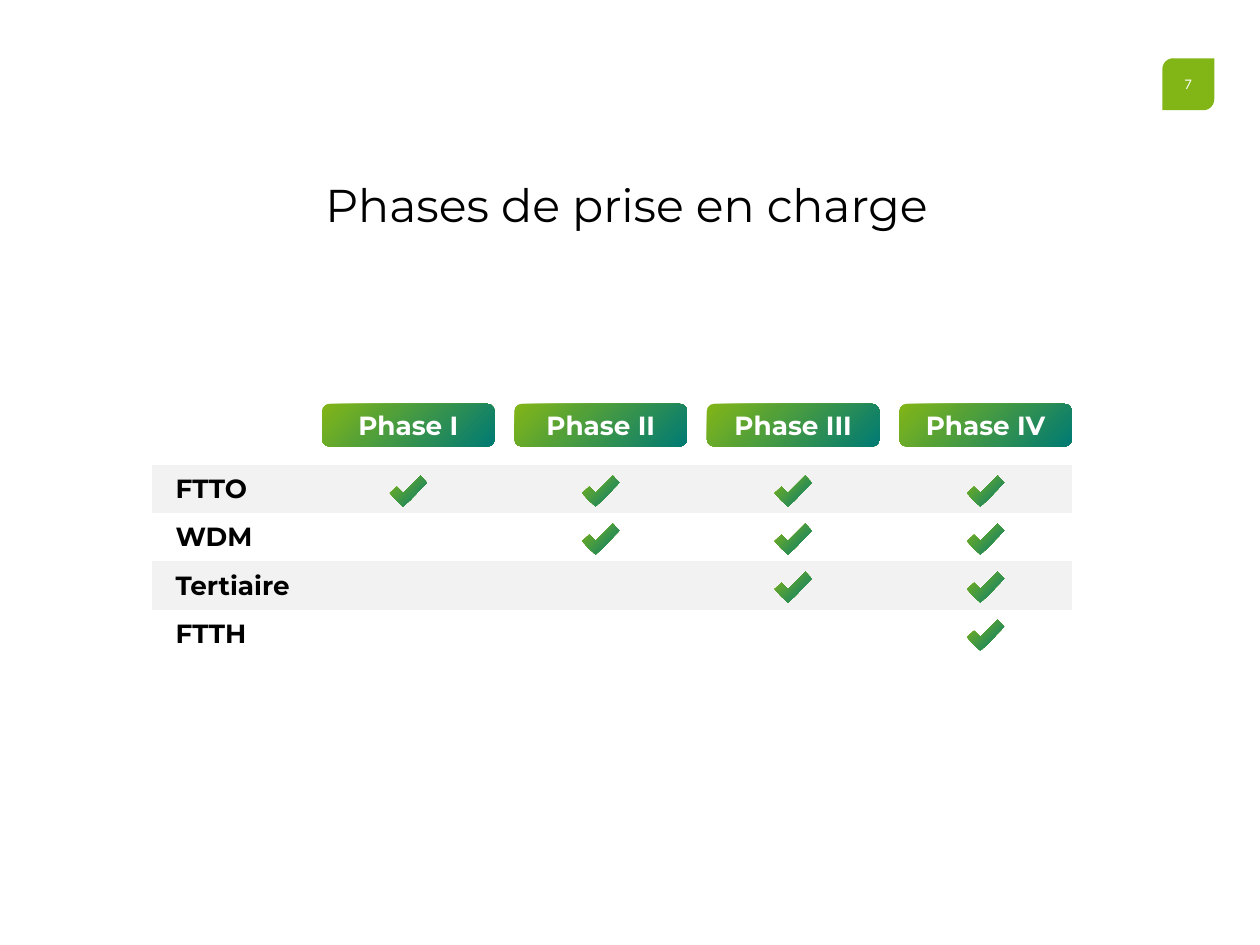
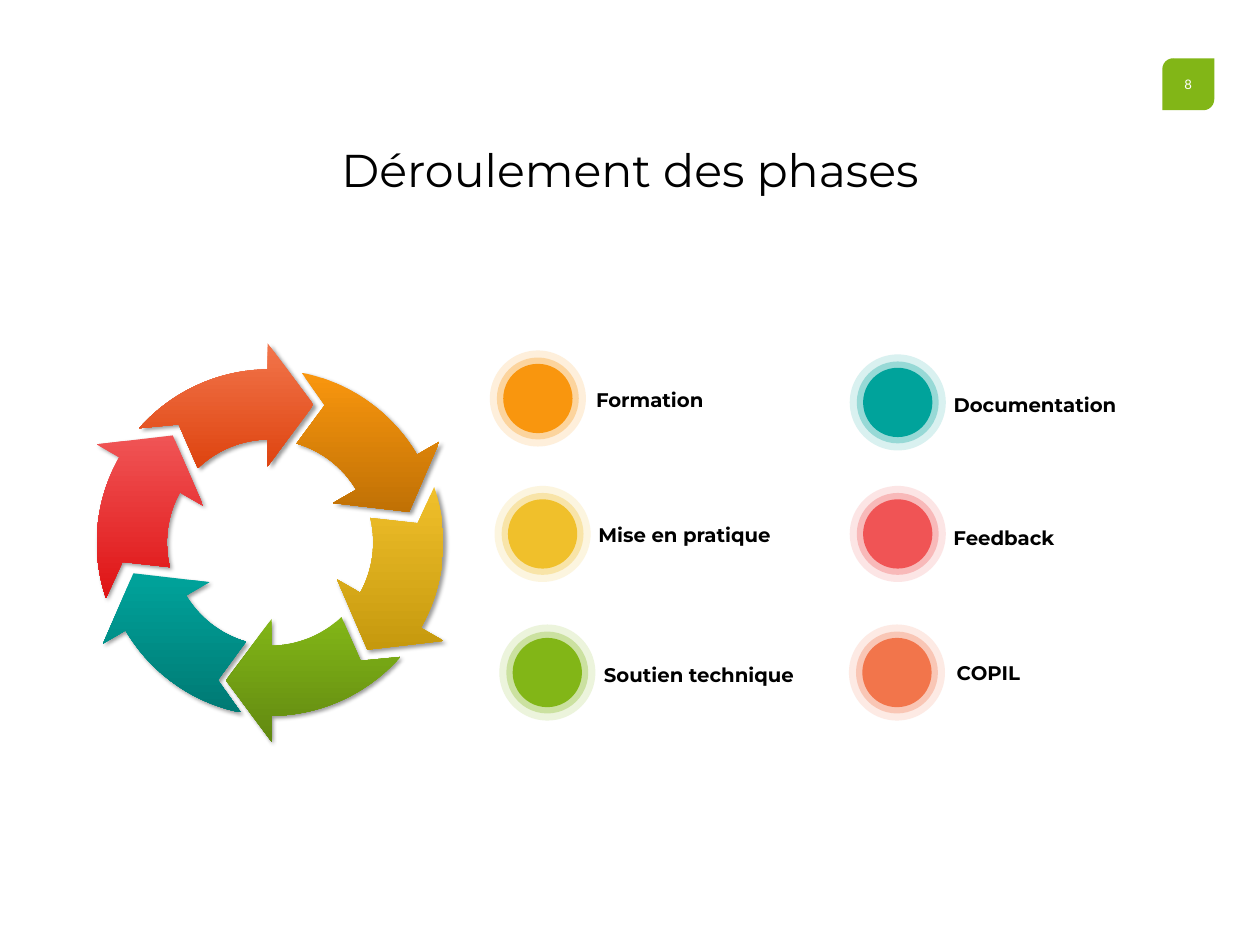
from math import atan2, cos, hypot, radians, sin, tan

from lxml.etree import SubElement
from pptx import Presentation
from pptx.dml.color import RGBColor
from pptx.enum.shapes import MSO_SHAPE
from pptx.enum.text import MSO_ANCHOR, MSO_AUTO_SIZE, PP_ALIGN
from pptx.oxml.ns import qn
from pptx.util import Inches, Pt

COLS, ROWS = 16, 12
SLIDE_W, SLIDE_H = Inches(16), Inches(12)
GREEN, TEAL, DARK_TEAL = "82B617", "00A39B", "007A74"
ORANGE, YELLOW, RED, CORAL = "F9960E", "F0C02B", "F05455", "F2754B"
BLACK, WHITE, BAND = "000000", "FFFFFF", "F2F2F2"
HEAD_FONT, NUMBER_FONT = "Montserrat", "Lato"
NO_STYLE = "{2D5ABB26-0587-4C30-8999-92F81FD0307C}"

PHASES = ["Phase I", "Phase II", "Phase III", "Phase IV"]
SERVICES = ["FTTO", "WDM", "Tertiaire", "FTTH"]
PHASE_LEFT, PHASE_STEP, PHASE_W = 4.09, 7.33 / 3, 2.19
TABLE_LEFT, TABLE_TOP, TABLE_W, TABLE_H = 1.93, 5.9, 11.68, 2.46
CHECK_STEP = 0.61
CHECK = [(0.39, 0), (0.17, 0.22), (0.09, 0.14), (0, 0.22), (0.08, 0.31),
         (0.17, 0.39), (0.26, 0.31), (0.47, 0.09)]

WHEEL_X, WHEEL_Y = 3.43, 6.89
WHEEL = [
    (CORAL, "DE4410", -0.01), (ORANGE, "C07105", -0.03), (YELLOW, "C6990E", 0),
    (GREEN, "628911", 0), (TEAL, DARK_TEAL, 0.06), (RED, "DF1415", 0),
]
OUTER_ARC, INNER_ARC = 2, 7
RINGS = [(1.22, 15), (1.04, 30), (0.88, 100)]
STEPS = [
    ("Formation", ORANGE, 6.83, 5.06, (7.47, 4.88, 1.58, 0.71)),
    ("Mise en pratique", YELLOW, 6.89, 6.78, (7.5, 6.59, 2.42, 0.4)),
    ("Soutien technique", GREEN, 6.95, 8.54, (7.57, 8.37, 2.65, 0.4)),
    ("Documentation", TEAL, 11.4, 5.11, (12.01, 4.94, 2.29, 0.4)),
    ("Feedback", RED, 11.4, 6.78, (12.01, 6.63, 1.5, 0.4)),
    ("COPIL", CORAL, 11.39, 8.54, (12.05, 8.34, 1.02, 0.4)),
]


def rgb(color):
    return RGBColor.from_string(color)


def col(n):
    return round(SLIDE_W * n / COLS)


def row(n):
    return round(SLIDE_H * n / ROWS)


def grid(x, y, w, h):
    return col(x), row(y), col(w), row(h)


def paint(sp, color, end=None, angle=0, alpha=100):
    sp.shadow.inherit = False
    sp.line.fill.background()
    if end:
        sp.fill.gradient()
        sp.fill.gradient_angle = 360 - angle
        for stop, stop_color in zip(sp.fill.gradient_stops, (color, end)):
            stop.color.rgb = rgb(stop_color)
        return
    sp.fill.solid()
    sp.fill.fore_color.rgb = rgb(color)
    if alpha < 100:
        clr = sp._element.spPr.find(qn("a:solidFill")).find(qn("a:srgbClr"))
        SubElement(clr, qn("a:alpha"), val=str(alpha * 1000))


def add_drop_shadow(sp):
    effects = sp._element.spPr.find(qn("a:effectLst"))
    shadow = SubElement(effects, qn("a:outerShdw"), blurRad=str(Pt(4)), dist=str(Pt(3)),
                        dir=str(45 * 60000), algn="tl", rotWithShape="0")
    clr = SubElement(shadow, qn("a:srgbClr"), val=BLACK)
    SubElement(clr, qn("a:alpha"), val="40000")


def write(tf, text, size, color=BLACK, bold=False, font=HEAD_FONT, align=PP_ALIGN.LEFT):
    p = tf.paragraphs[0]
    p.alignment = align
    r = p.add_run()
    r.text = text
    r.font.name = font
    r.font.size = Pt(size)
    r.font.bold = bold
    r.font.color.rgb = rgb(color)


def add_label(slide, box, text, size, **style):
    tf = slide.shapes.add_textbox(*grid(*box)).text_frame
    tf.word_wrap = False
    tf.auto_size = MSO_AUTO_SIZE.SHAPE_TO_FIT_TEXT
    write(tf, text, size, **style)
    return tf


def add_outline(slide, points, color, end, angle):
    points = [(col(x), row(y)) for x, y in points]
    builder = slide.shapes.build_freeform(*points[0], scale=1.0)
    builder.add_line_segments(points[1:], close=True)
    sp = builder.convert_to_shape()
    paint(sp, color, end, angle)
    return sp


def add_page(prs, title, title_box, number):
    slide = prs.slides.add_slide(prs.slide_layouts[6])
    sp = slide.shapes.add_shape(MSO_SHAPE.ROUND_2_DIAG_RECTANGLE, *grid(14.76, 0.74, 0.66, 0.66))
    sp.adjustments[0] = 0.21
    sp.adjustments[1] = 0
    paint(sp, GREEN)
    sp.text_frame.vertical_anchor = MSO_ANCHOR.MIDDLE
    write(sp.text_frame, str(number), 12, WHITE, font=NUMBER_FONT, align=PP_ALIGN.CENTER)
    tf = add_label(slide, title_box, title, 42, align=PP_ALIGN.CENTER)
    tf.margin_left = tf.margin_right = Inches(0.08)
    tf.margin_top = tf.margin_bottom = Inches(0.04)
    return slide


def add_service_table(slide):
    box = grid(TABLE_LEFT, TABLE_TOP, TABLE_W, TABLE_H)
    table = slide.shapes.add_table(len(SERVICES), len(PHASES) + 1, *box).table
    table.first_row = table.horz_banding = False
    table._tbl.tblPr.find(qn("a:tableStyleId")).text = NO_STYLE
    for i, service in enumerate(SERVICES):
        for cell in table.rows[i].cells:
            if i % 2:
                cell.fill.background()
            else:
                cell.fill.solid()
                cell.fill.fore_color.rgb = rgb(BAND)
        head = table.cell(i, 0)
        head.vertical_anchor = MSO_ANCHOR.MIDDLE
        head.margin_left, head.margin_right = Inches(0.3), Inches(0.12)
        head.margin_top = head.margin_bottom = Inches(0.06)
        write(head.text_frame, service, 24, bold=True)


def add_phase(slide, index, name):
    left = PHASE_LEFT + index * PHASE_STEP
    sp = slide.shapes.add_shape(MSO_SHAPE.ROUNDED_RECTANGLE, *grid(left, 5.13, PHASE_W, 0.54))
    paint(sp, GREEN, DARK_TEAL, 45)
    sp.text_frame.vertical_anchor = MSO_ANCHOR.MIDDLE
    write(sp.text_frame, name, 24, WHITE, bold=True, align=PP_ALIGN.CENTER)
    for service in range(index + 1):
        x, y = left + 0.86, TABLE_TOP + 0.14 + service * CHECK_STEP
        add_outline(slide, [(x + dx, y + dy) for dx, dy in CHECK], GREEN, DARK_TEAL, 45)


def arc(radius, start, end):
    a, b = radians(start), radians(end)
    k = 4 / 3 * tan((b - a) / 4)
    unit = [(cos(a), sin(a)), (cos(a) - k * sin(a), sin(a) + k * cos(a)),
            (cos(b) + k * sin(b), sin(b) - k * cos(b)), (cos(b), sin(b))]
    return [(radius * x, radius * y) for x, y in unit]


def wheel_arrow(turn, shift):
    outline = [(0.56, -1.75), (-0.02, -2.53), *arc(2.2, -90.5, -138.7),
               (-1.15, -1.5), *arc(1.31, -133.8, -90.9), (-0.02, -0.97)]
    points = []
    for x, y in outline:
        radius, angle = hypot(x, y), atan2(y, x) + radians(turn)
        points.append((WHEEL_X + shift + radius * cos(angle), WHEEL_Y + radius * sin(angle)))
    return points


def bend(sp, first_lines):
    lines = list(sp._element.iter(qn("a:lnTo")))
    for first in first_lines:
        curve, *rest = lines[first:first + 3]
        bezier = curve.getparent().makeelement(qn("a:cubicBezTo"))
        curve.addprevious(bezier)
        for line in (curve, *rest):
            bezier.append(line[0])
            line.getparent().remove(line)


def add_wheel(slide):
    for i, (color, end, shift) in enumerate(WHEEL):
        sp = add_outline(slide, wheel_arrow(i * 360 / len(WHEEL), shift), color, end, 90)
        bend(sp, (OUTER_ARC, INNER_ARC))
        add_drop_shadow(sp)


def add_step(slide, name, color, cx, cy, label_box):
    group = slide.shapes.add_group_shape()
    for size, alpha in RINGS:
        box = grid(cx - size / 2, cy - size / 2, size, size)
        paint(group.shapes.add_shape(MSO_SHAPE.OVAL, *box), color, alpha=alpha)
    add_label(slide, label_box, name, 18, bold=True)


def main():
    prs = Presentation()
    prs.slide_width, prs.slide_height = SLIDE_W, SLIDE_H

    slide = add_page(prs, "Phases de prise en charge", (3.89, 2.2, 8.13, 0.79), 7)
    add_service_table(slide)
    for i, phase in enumerate(PHASES):
        add_phase(slide, i, phase)

    slide = add_page(prs, "Déroulement des phases", (4.12, 1.76, 7.76, 0.79), 8)
    add_wheel(slide)
    for step in STEPS:
        add_step(slide, *step)

    prs.save("out.pptx")


if __name__ == "__main__":
    main()
